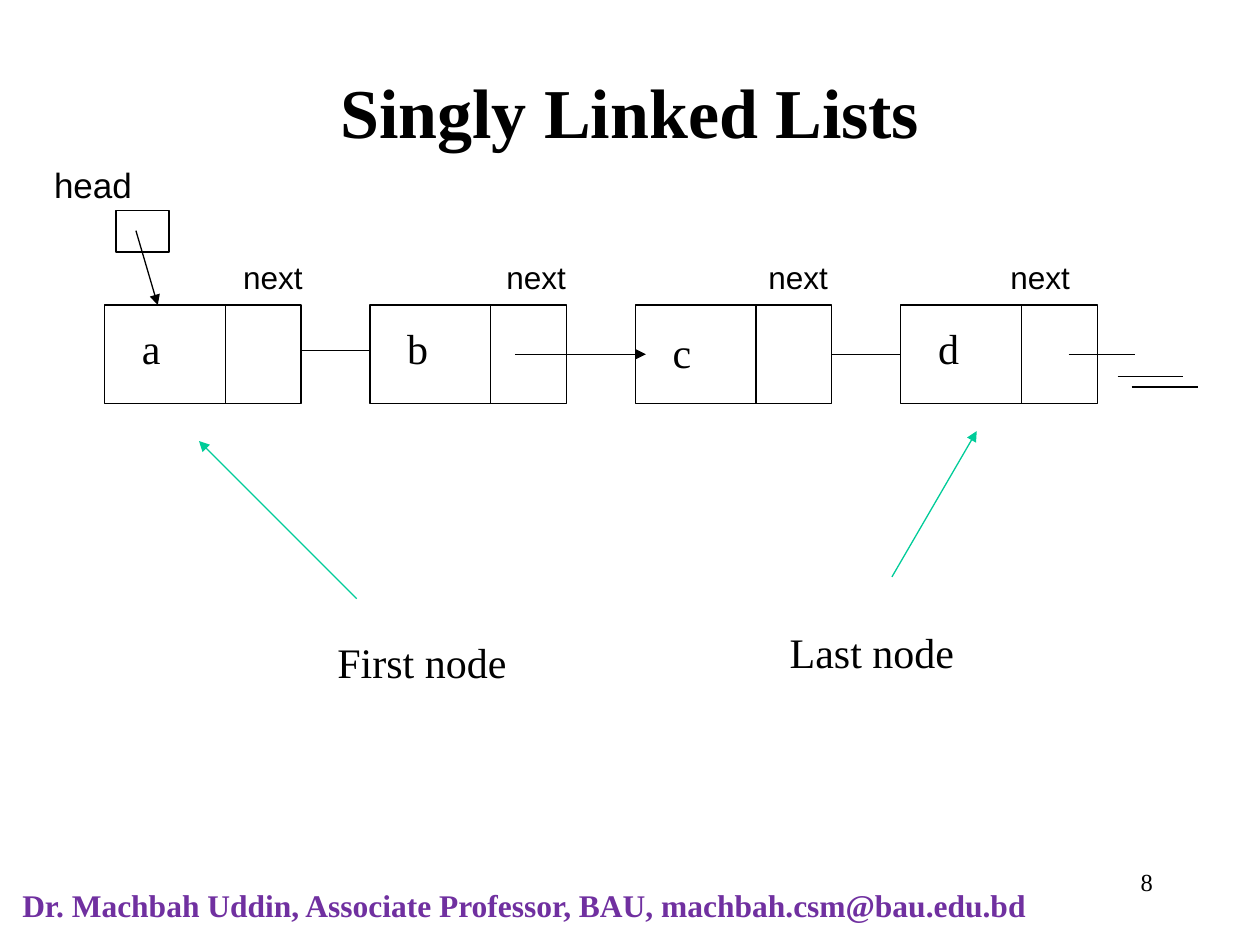
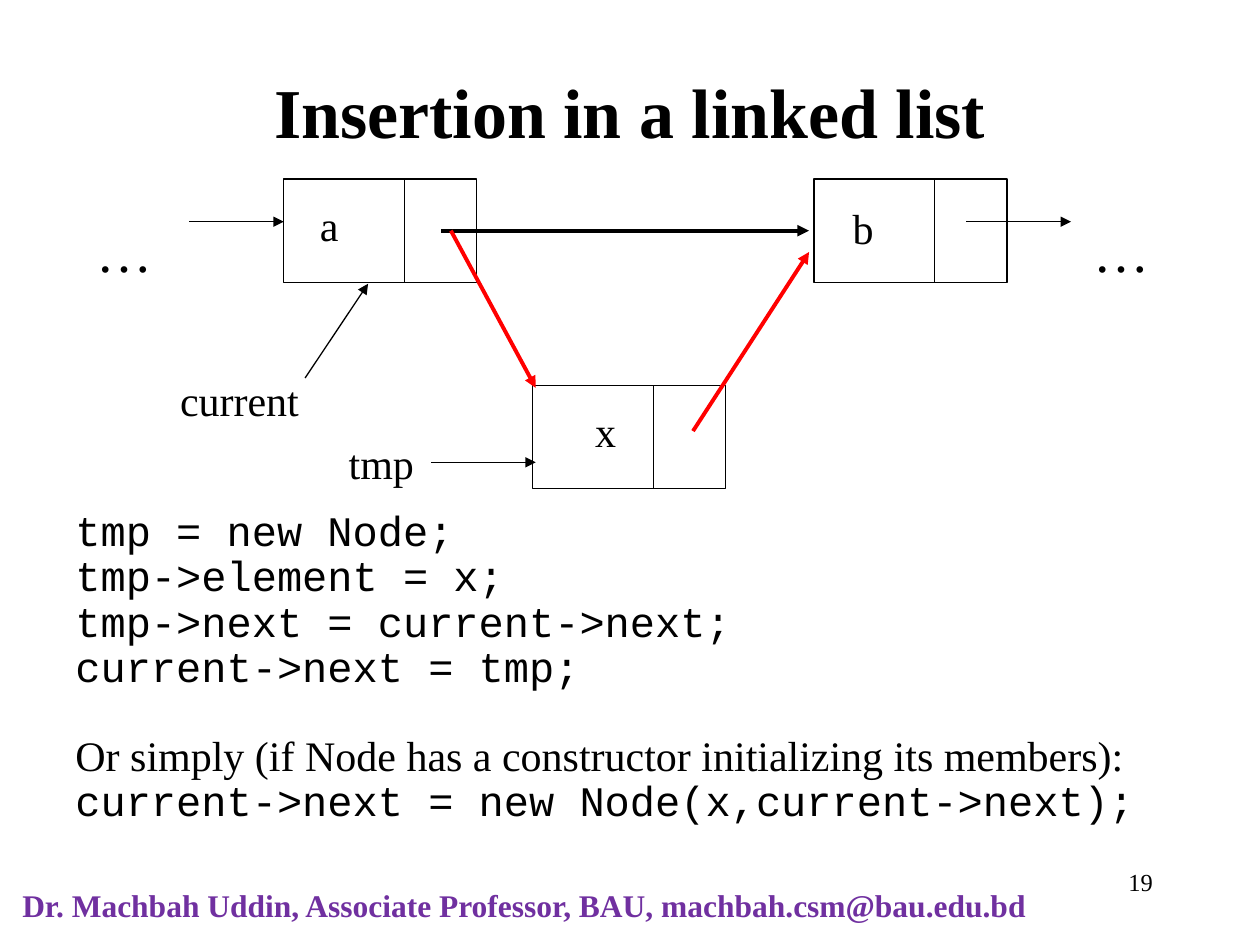
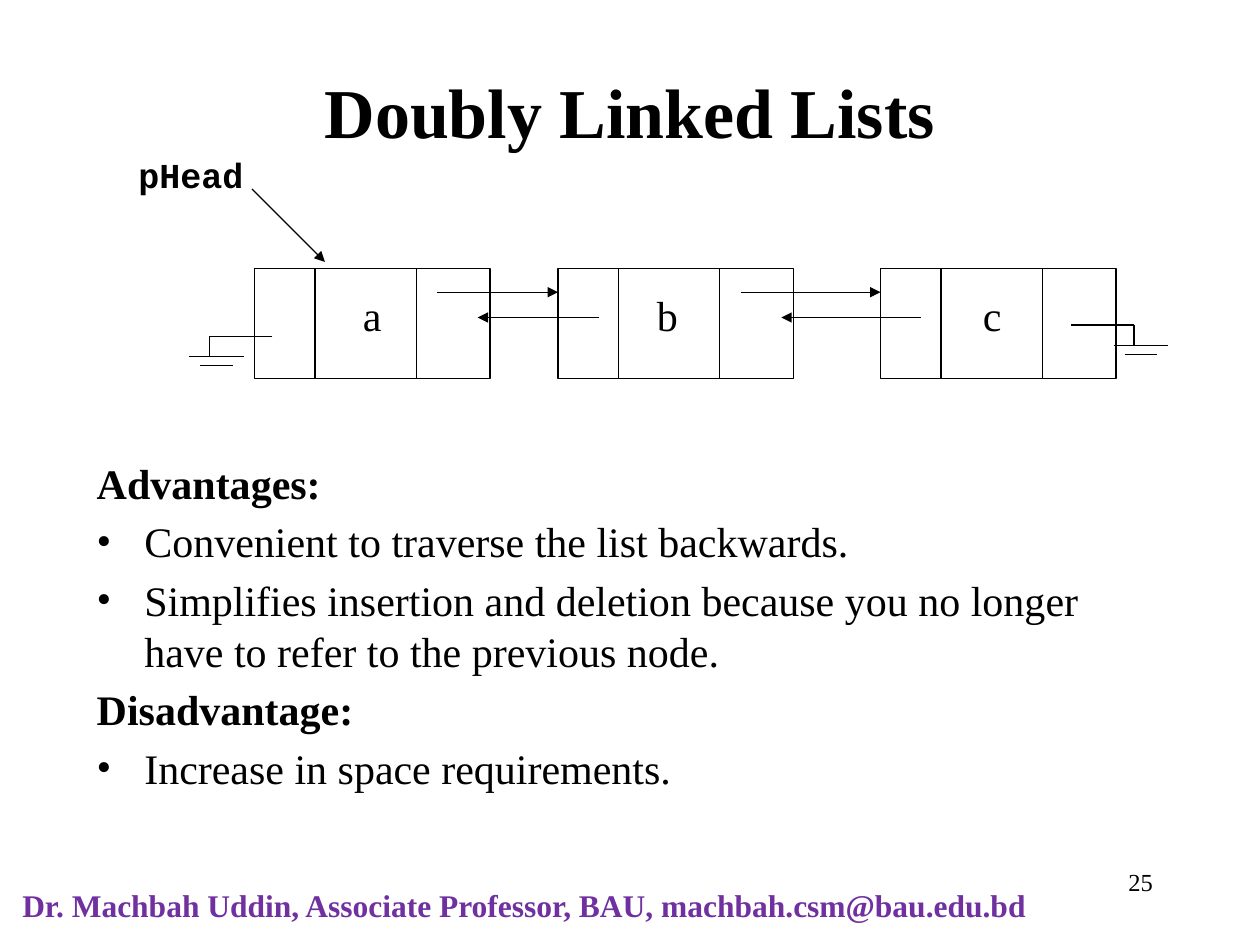
from lxml.etree import SubElement
from pptx import Presentation
from pptx.dml.color import RGBColor
from pptx.enum.shapes import MSO_CONNECTOR, MSO_SHAPE
from pptx.enum.text import PP_ALIGN as Align
from pptx.oxml.ns import qn
from pptx.util import Cm, Pt

BLACK = RGBColor(0x00, 0x00, 0x00)
WHITE = RGBColor(0xFF, 0xFF, 0xFF)
RED = RGBColor(0xFF, 0x00, 0x00)
GREEN = RGBColor(0x00, 0xCC, 0x99)
PURPLE = RGBColor(0x70, 0x30, 0xA0)
SERIF, SANS, MONO = "Times New Roman", "Arial", "Courier New"
FOOTER = "Dr. Machbah Uddin, Associate Professor, BAU, machbah.csm@bau.edu.bd"


def write(page, text, left, top, width, height, box=None, font=SERIF, size=24,
          bold=False, color=BLACK, align=Align.LEFT):
    """Fill the box, or a new text box, and return its paragraphs."""
    if box is None:
        box = page.shapes.add_textbox(0, 0, 0, 0)
    box.left, box.top, box.width, box.height = map(Cm, (left, top, width, height))
    box.text_frame.word_wrap = True
    box.text_frame.text = text
    for para in box.text_frame.paragraphs:
        para.alignment = align
        for span in para.runs:
            span.font.name = font
            span.font.size = Pt(size)
            span.font.bold = bold
            span.font.color.rgb = color
    return box.text_frame.paragraphs


def draw_line(page, x1, y1, x2, y2, arrow=False, color=BLACK, weight=0.75):
    line = page.shapes.add_connector(MSO_CONNECTOR.STRAIGHT, *map(Cm, (x1, y1, x2, y2)))
    line.line.color.rgb = color
    line.line.width = Pt(weight)
    if arrow:
        SubElement(line.line._get_or_add_ln(), qn("a:tailEnd"), type="triangle")
    SubElement(line._element.spPr, qn("a:effectLst"))


# Node positions
SINGLE_TOP, DOUBLE_TOP = 6.15, 5.41
single_lefts = [2.11 + 5.35 * column for column in range(4)]
insertion_spots = [(5.72, 3.61), (16.41, 3.61), (10.74, 7.77)]
double_lefts = [5.13, 11.25, 17.75]

# Frames: left, top, width, height, divider offsets
head_frame = (2.34, 4.24, 1.07, 0.84, [])
single_frames = [(left, SINGLE_TOP, 3.96, 1.98, [2.43]) for left in single_lefts]
insertion_frames = [(left, top, 3.89, 2.08, [2.43]) for left, top in insertion_spots]
double_frames = [(left, DOUBLE_TOP, 4.75, 2.22, [1.22, 3.26]) for left in double_lefts]

# Links that run in behind the next node: x, y
covered_links = [(single_lefts[0] + 2.92, 7.06), (single_lefts[2] + 2.92, 7.14)]

deck = Presentation()
deck.slide_width, deck.slide_height = Cm(25.4), Cm(19.05)

pages = []
for title, number, links, frames in [
    ("Singly Linked Lists", 8, covered_links, single_frames + [head_frame]),
    ("Insertion in a linked list", 19, [], insertion_frames),
    ("Doubly Linked Lists", 25, [], double_frames),
]:
    page = deck.slides.add_slide(deck.slide_layouts[5])
    pages.append(page)
    write(page, FOOTER, 0.2, 17.73, 23.29, 1.02, size=18, bold=True, color=PURPLE)
    write(page, str(number), 18.21, 17.35, 5.28, 1.27, size=14, align=Align.RIGHT)
    write(page, title, 1.9, 1.27, 21.59, 1.9, box=page.shapes.title, size=40,
          bold=True, align=Align.CENTER)
    for x, y in links:
        draw_line(page, x, y, x + 2.64, y, arrow=True)
    for left, top, width, height, dividers in frames:
        frame = page.shapes.add_shape(MSO_SHAPE.RECTANGLE, *map(Cm, (left, top, width, height)))
        frame.shadow.inherit = False
        frame.line.color.rgb = BLACK
        frame.line.width = Pt(0.75)
        if dividers:
            frame.fill.solid()
            frame.fill.fore_color.rgb = WHITE
        else:
            frame.fill.background()
        for offset in dividers:
            draw_line(page, left + offset, top, left + offset, top + height)

singly, insertion, doubly = pages

# Singly linked list
for letter, left, top, next_left in zip(
        "abcd", single_lefts, [6.38, 6.38, 6.45, 6.38], [4.65, 9.96, 15.24, 20.12]):
    write(singly, letter, left + 0.5, top, 1.32, 0.99)
    write(singly, "next", next_left, 5.08, 2.34, 1.02, font=SANS, size=18)
write(singly, "head", 0.84, 3.18, 6.99, 1.09, font=SANS, size=20)
write(singly, "First node", 6.55, 12.7, 4.88, 1.27)
write(singly, "Last node", 15.67, 12.5, 5.51, 1.27)
draw_line(singly, 2.74, 4.65, 3.18, SINGLE_TOP, arrow=True)
draw_line(singly, single_lefts[1] + 2.92, 7.14, single_lefts[1] + 5.56, 7.14, arrow=True)
draw_line(singly, 21.54, 7.14, 22.89, 7.14)
draw_line(singly, 22.53, 7.59, 23.85, 7.59)
draw_line(singly, 22.81, 7.8, 24.16, 7.8)
draw_line(singly, 7.19, 12.07, 4.01, 8.89, arrow=True, color=GREEN)
draw_line(singly, 17.98, 11.63, 19.69, 8.69, arrow=True, color=GREEN)

# Insertion of x between a and b
write(insertion, "a", 6.2, 3.89, 1.96, 1.55)
write(insertion, "b", 16.94, 3.96, 1.96, 1.55)
write(insertion, "x", 11.23, 8.05, 1.96, 1.55, align=Align.CENTER)
for left in (1.7, 21.79):
    write(insertion, "…", left, 4.24, 2.11, 1.6, size=32)
write(insertion, "current", 3.38, 7.42, 3.81, 1.27)
write(insertion, "tmp", 6.78, 8.69, 4.01, 1.27)
for ends in [(3.81, 4.47, 5.72, 4.47), (19.48, 4.47, 21.59, 4.47),
             (6.15, 7.62, 7.42, 5.72), (8.69, 9.32, 10.8, 9.32)]:
    draw_line(insertion, *ends, arrow=True)
draw_line(insertion, 8.89, 4.65, 16.31, 4.65, arrow=True, weight=2.25)
for ends in [(9.09, 4.65, 10.8, 7.82), (13.97, 8.69, 16.31, 5.08)]:
    draw_line(insertion, *ends, arrow=True, color=RED, weight=2.25)

code = """tmp = new Node;
tmp->element = x;
tmp->next = current->next;
current->next = tmp;
Or simply (if Node has a constructor initializing its members):
current->next = new Node(x,current->next);"""
for para in write(insertion, code, 1.27, 10.16, 22.66, 6.65, font=MONO):
    para.line_spacing = 0.9
    if para.text.startswith("Or"):
        para.space_before = Pt(25)
        para.runs[0].font.name = SERIF

# Doubly linked list
for letter, left in zip("abc", [6.55, 12.5, 19.05]):
    write(doubly, letter, left, 5.72, 1.91, 1.27, align=Align.CENTER)
for left, next_left in zip(double_lefts, double_lefts[1:]):
    draw_line(doubly, left + 3.68, 5.89, next_left, 5.89, arrow=True)
    draw_line(doubly, next_left + 0.82, 6.4, left + 4.5, 6.4, arrow=True)
write(doubly, "pHead", 2.54, 2.97, 3.61, 1.5, font=MONO, size=20, bold=True)
draw_line(doubly, 5.08, 3.81, 6.55, 5.28, arrow=True)
for start, stem, y in [(21.59, 22.86, 6.55), (5.49, 4.22, 6.78)]:
    draw_line(doubly, start, y, stem, y)
    draw_line(doubly, stem, y, stem, y + 0.42)
    for reach, drop in [(0.55, 0.41), (0.33, 0.59)]:
        middle = stem + 0.14
        draw_line(doubly, middle - reach, y + drop, middle + reach, y + drop)

points = """Advantages:
Convenient to traverse the list backwards.
Simplifies insertion and deletion because you no longer have to refer to the previous node.
Disadvantage:
Increase in space requirements."""
for index, para in enumerate(write(doubly, points, 1.7, 9.09, 22.02, 7.42)):
    if index:
        para.space_before = Pt(4.8)
    properties = para._p.get_or_add_pPr()
    properties.set("marL", str(Cm(0.96)))
    properties.set("indent", str(Cm(-0.96)))
    if para.text.endswith(":"):
        para.runs[0].font.bold = True
    else:
        SubElement(properties, qn("a:buFont"), typeface=SERIF)
        SubElement(properties, qn("a:buChar"), char="•")

deck.save("out.pptx")
